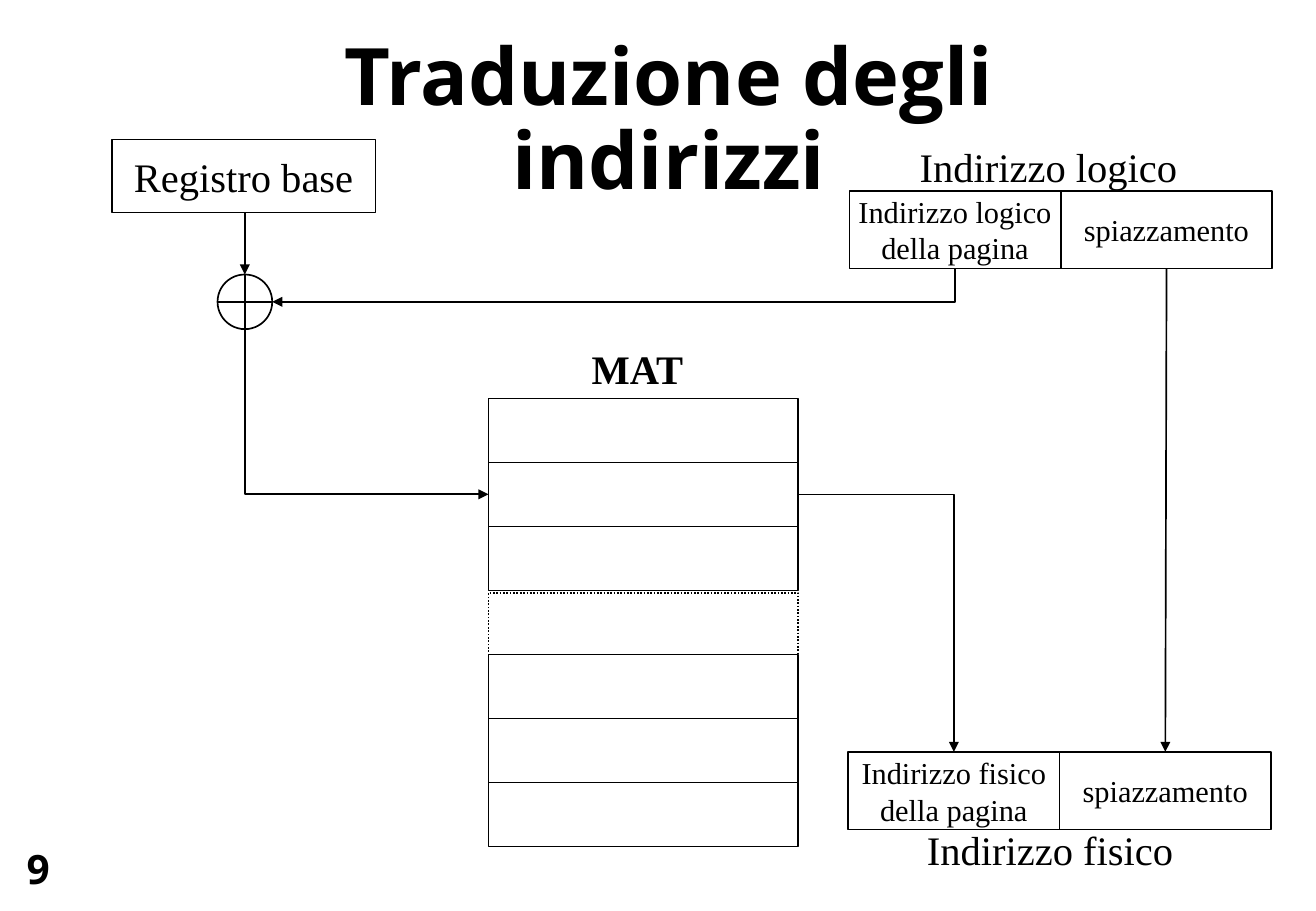
from lxml import etree
from pptx import Presentation
from pptx.dml.color import RGBColor
from pptx.enum.dml import MSO_LINE
from pptx.enum.shapes import MSO_CONNECTOR, MSO_SHAPE
from pptx.enum.text import MSO_ANCHOR, PP_ALIGN
from pptx.oxml.ns import qn
from pptx.util import Inches, Pt

RECT, ADDER = MSO_SHAPE.RECTANGLE, MSO_SHAPE.FLOWCHART_OR
STRAIGHT, ELBOW = MSO_CONNECTOR.STRAIGHT, MSO_CONNECTOR.ELBOW
LEFT, CENTER = PP_ALIGN.LEFT, PP_ALIGN.CENTER
COLORS = {"ink": "000000"}
SANS, SERIF = "Open Sans", "Times New Roman"

# Lengths in inches: left, top, width, height
SLIDE = (10.83, 7.5)
TITLE = ("Traduzione degli indirizzi", (1.85, 0.3, 7.31, 1.6))
PAGE_NUMBER = ("9", (0.17, 6.93, 0.49, 0.44))
LABELS = [
    ("MAT", (4.77, 2.78, 0.98, 0.5), True),
    ("Indirizzo logico", (7.47, 1.12, 2.32, 0.5), False),
    ("Indirizzo fisico", (7.53, 6.74, 2.23, 0.5), False),
]
REGISTER = ("Registro base", (0.92, 1.15, 2.17, 0.6))
ADDER_AREA = (1.79, 2.26, 0.45, 0.45)
FIELD_SIZE = (1.74, 0.64)
ADDRESSES = [
    ((6.99, 1.57), ("Indirizzo logico\ndella pagina", "spiazzamento")),
    ((6.98, 6.19), ("Indirizzo fisico\ndella pagina", "spiazzamento")),
]
MAT = (4.02, 3.28, 2.55, 3.69)
MAT_ROWS, DOTTED_ROW, ENTRY_ROW = 7, 3, 1


def inches(values):
    return [Inches(value) for value in values]


def write(shape, text, size, font, bold=False, align=CENTER, wrap=False):
    frame = shape.text_frame
    frame.text = text
    frame.word_wrap = wrap
    for para in frame.paragraphs:
        para.alignment = align
        for span in para.runs:
            span.font.size = Pt(size)
            span.font.name = font
            span.font.bold = bold
            span.font.color.rgb = RGBColor.from_string(COLORS["ink"])
    return frame


def add_text(page, text, area, size, font, **style):
    box = page.shapes.add_textbox(*inches(area))
    return write(box, text, size, font, **style)


def set_tight_margins(frame):
    frame.margin_left = frame.margin_right = Inches(0.05)
    frame.margin_top = frame.margin_bottom = Inches(0.02)


def ink_line(line):
    line.color.rgb = RGBColor.from_string(COLORS["ink"])
    line.width = Pt(1)


def add_outline(page, kind, area, text="", size=18):
    shape = page.shapes.add_shape(kind, *inches(area))
    shape.shadow.inherit = False
    shape.fill.background()
    ink_line(shape.line)
    if text:
        frame = write(shape, text, size, SERIF)
        frame.vertical_anchor = MSO_ANCHOR.MIDDLE
    return shape


def add_arrow(page, kind, start, end, arrow_at="tailEnd"):
    """An elbow runs level from start, then upright to end."""
    arrow = page.shapes.add_connector(kind, *inches(start + end))
    ink_line(arrow.line)
    properties = arrow._element.spPr
    if kind == ELBOW:
        properties.find(qn("a:prstGeom")).set("prst", "bentConnector2")
    etree.SubElement(properties.find(qn("a:ln")), qn(f"a:{arrow_at}"), type="triangle")
    etree.SubElement(properties, qn("a:effectLst"))


def main():
    deck = Presentation()
    deck.slide_width, deck.slide_height = inches(SLIDE)
    page = deck.slides.add_slide(deck.slide_layouts[6])

    title = add_text(page, *TITLE, 47, SANS, bold=True, wrap=True)
    title.paragraphs[0].line_spacing = 0.88
    set_tight_margins(title)
    set_tight_margins(add_text(page, *PAGE_NUMBER, 24, SANS, bold=True, align=LEFT))
    for text, area, bold in LABELS:
        add_text(page, text, area, 24, SERIF, bold=bold, align=LEFT)

    register_text, register_area = REGISTER
    add_outline(page, RECT, register_area, register_text, 24)
    add_outline(page, ADDER, ADDER_AREA)

    field_width, field_height = FIELD_SIZE
    for (left, top), fields in ADDRESSES:
        for column, text in enumerate(fields):
            area = (left + column * field_width, top, field_width, field_height)
            add_outline(page, RECT, area, text)

    mat_left, mat_top, mat_width, mat_height = MAT
    row_height = mat_height / MAT_ROWS
    for row in range(MAT_ROWS):
        gap = 0.02 if row == DOTTED_ROW else 0
        area = (mat_left, mat_top + row * row_height + gap, mat_width, row_height - gap)
        entry = add_outline(page, RECT, area)
        if row == DOTTED_ROW:
            entry.line.dash_style = MSO_LINE.ROUND_DOT

    adder_left, adder_top, adder_width, adder_height = ADDER_AREA
    adder_x = adder_left + adder_width / 2
    adder_y = adder_top + adder_height / 2
    entry_y = mat_top + (ENTRY_ROW + 0.5) * row_height
    (logical_left, logical_top), (physical_left, physical_top) = [
        corner for corner, fields in ADDRESSES]
    logical_bottom = logical_top + field_height
    logical_x = logical_left + field_width / 2
    physical_x = physical_left + field_width / 2

    add_arrow(page, STRAIGHT, (adder_x, register_area[1] + register_area[3]),
              (adder_x, adder_top))
    add_arrow(page, STRAIGHT, (logical_x + field_width, logical_bottom),
              (physical_x + field_width, physical_top))
    add_arrow(page, ELBOW, (adder_left + adder_width, adder_y),
              (logical_x, logical_bottom), "headEnd")
    add_arrow(page, ELBOW, (mat_left, entry_y),
              (adder_x, adder_top + adder_height), "headEnd")
    add_arrow(page, ELBOW, (mat_left + mat_width, entry_y),
              (physical_x, physical_top))

    deck.save("out.pptx")


if __name__ == "__main__":
    main()
